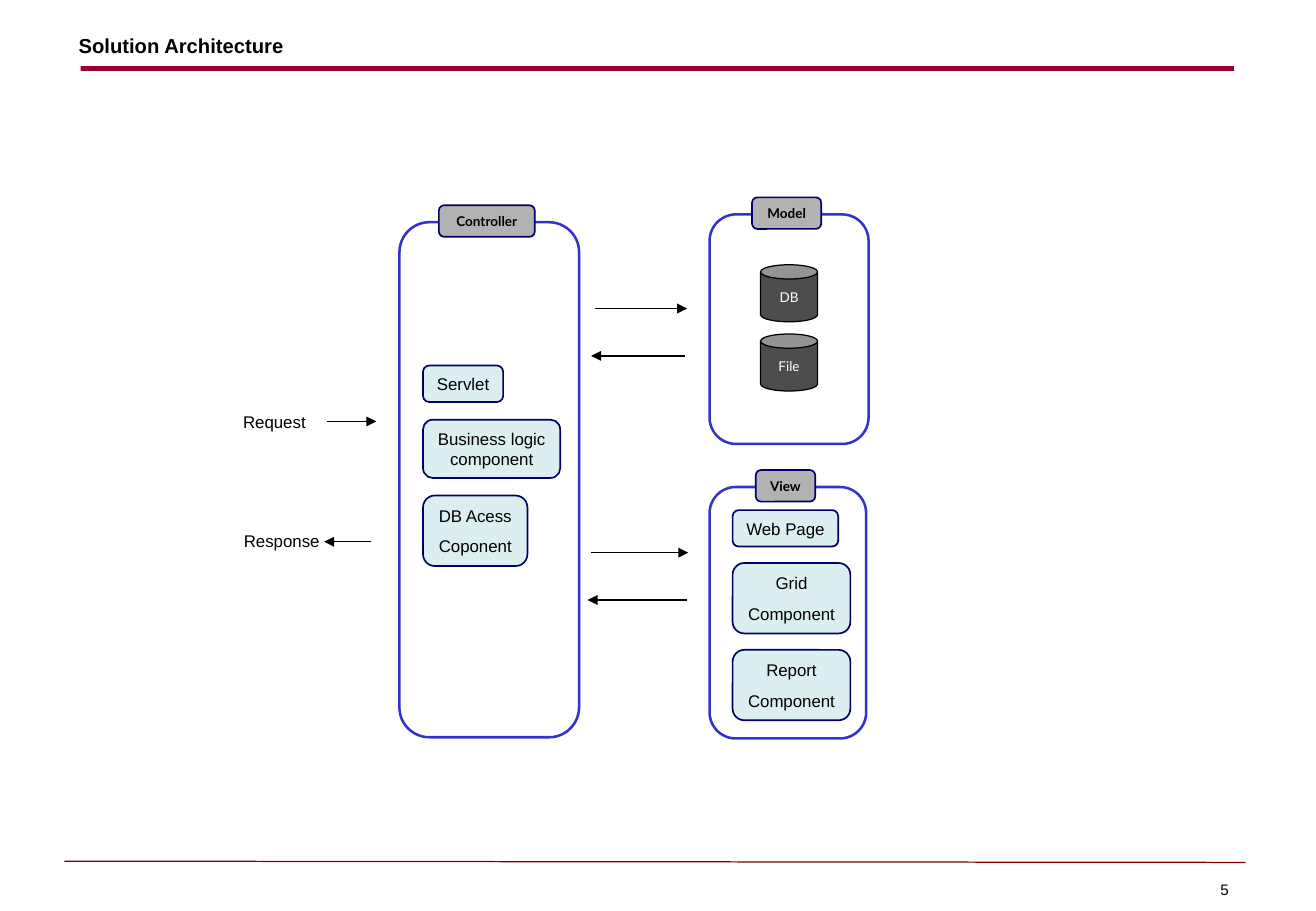
from lxml import etree
from pptx import Presentation
from pptx import util as u
from pptx.dml.color import RGBColor
from pptx.enum import shapes, text
from pptx.oxml.ns import qn

COLORS = {"rule": "990033", "footer": "800000", "panel": "3333CC", "edge": "000066",
          "tab": "B2B2B2", "store": "4D4D4D", "component": "DCEFF0",
          "black": "000000", "white": "FFFFFF"}
LEFT, CENTER, RIGHT = text.PP_ALIGN.LEFT, text.PP_ALIGN.CENTER, text.PP_ALIGN.RIGHT
TOP, MIDDLE, BOTTOM = text.MSO_ANCHOR.TOP, text.MSO_ANCHOR.MIDDLE, text.MSO_ANCHOR.BOTTOM
ROUND = shapes.MSO_SHAPE.ROUNDED_RECTANGLE
CELL = u.Inches(0.1)  # all positions are columns and rows of this grid

prs = Presentation()
prs.slide_width, prs.slide_height = u.Inches(10.84), u.Inches(7.5)
s = prs.slides.add_slide(prs.slide_layouts[6])


def box(kind, at, fill=None, line=None, width=1, label="", color="black",
        align=CENTER, anchor=MIDDLE, margin=0.05, **font):
    """Add a preset shape, or a text box if kind is None, with its label."""
    at = [round(v * CELL) for v in at]
    if kind is None:
        sp = s.shapes.add_textbox(*at)
    else:
        sp = s.shapes.add_shape(kind, *at)
        sp.shadow.inherit = False
        if fill:
            sp.fill.solid()
            sp.fill.fore_color.rgb = RGBColor.from_string(COLORS[fill])
        else:
            sp.fill.background()
        if line:
            sp.line.color.rgb = RGBColor.from_string(COLORS[line])
            sp.line.width = u.Pt(width)
        else:
            sp.line.fill.background()
    if not label:
        return
    tf = sp.text_frame
    frame = {"text": label, "word_wrap": False, "vertical_anchor": anchor,
             "margin_top": u.Inches(margin), "margin_bottom": u.Inches(margin)}
    for name, value in frame.items():
        setattr(tf, name, value)
    for i, p in enumerate(tf.paragraphs):
        p.alignment = align
        if i:
            p.space_before = u.Pt(6.2)
        for r in p.runs:
            for name, value in ({"name": "Arial", "size": u.Pt(10)} | font).items():
                setattr(r.font, name, value)
            r.font.color.rgb = RGBColor.from_string(COLORS[color])


def connect(x1, y1, x2, y2, color="black", arrow=True):
    ends = [round(v * CELL) for v in (x1, y1, x2, y2)]
    c = s.shapes.add_connector(shapes.MSO_CONNECTOR.STRAIGHT, *ends)
    c.line.color.rgb = RGBColor.from_string(COLORS[color])
    c.line.width = u.Pt(0.75)
    if arrow:
        etree.SubElement(c.line._get_or_add_ln(), qn("a:tailEnd"), type="triangle")
    etree.SubElement(c._element.spPr, qn("a:effectLst"))


# Title and footer
box(shapes.MSO_SHAPE.RECTANGLE, (6.65, 5.45, 95, 0.4), fill="rule")
box(None, (5.5, 2.55, 20, 2.4), label="Solution Architecture", align=LEFT,
    anchor=BOTTOM, margin=0.02, size=u.Pt(12), bold=True)
connect(5.3, 70.9, 102.6, 71, color="footer", arrow=False)
box(None, (93.8, 72, 8.4, 2.5), label="5", align=RIGHT, anchor=BOTTOM, size=u.Pt(9))

# Panels, each with a tab on its top edge
panels = [("Model", 5.7, (58.45, 17.65, 13.1, 18.9)),
          ("Controller", 7.9, (32.9, 18.3, 14.8, 42.4)),
          ("View", 4.9, (58.45, 40.1, 12.9, 20.7))]
for name, tab_w, (x, y, w, h) in panels:
    box(ROUND, (x, y, w, h), line="panel", width=1.5)
    box(ROUND, (x + (w - tab_w) / 2 - 0.2, y - 1.4, tab_w, 2.6), fill="tab", line="edge",
        label=name, name="Lato", size=u.Pt(8), bold=True)

# Data stores of the model
for i, name in enumerate(["DB", "File"]):
    box(shapes.MSO_SHAPE.CAN, (62.65, 21.8 + 5.7 * i, 4.7, 4.7), fill="store", line="black",
        width=0.75, label=name, color="white", name="Lato", size=u.Pt(8))

# Components stacked in the controller and the view: left, top, gap, (label, width, height)
stacks = [(34.85, 30.1, 1.45, [("Servlet", 6.6, 3), ("Business logic\vcomponent", 11.3, 4.8),
                               ("DB Acess\nCoponent", 8.6, 5.8)]),
          (60.35, 42, 1.35, [("Web Page", 8.7, 3), ("Grid\nComponent", 9.7, 5.8),
                             ("Report\nComponent", 9.7, 5.8)])]
for x, y, gap, parts in stacks:
    for name, w, h in parts:
        box(ROUND, (x, y, w, h), fill="component", line="edge", label=name)
        y += h + gap

# Request and response, in boxes wide enough to keep each word on one line
for name, x, y in [("Request", 18, 33.4), ("Response", 18.6, 43.2)]:
    box(None, (x, y, 9.2, 2.7), label=name, anchor=TOP)

arrows = [(26.9, 34.7, 31), (30.6, 44.6, 26.7),
          (49, 25.4, 56.6), (56.4, 29.3, 48.7),
          (48.7, 45.5, 56.7), (56.6, 49.4, 48.4)]
for start, y, end in arrows:
    connect(start, y, end, y)

prs.save("out.pptx")
